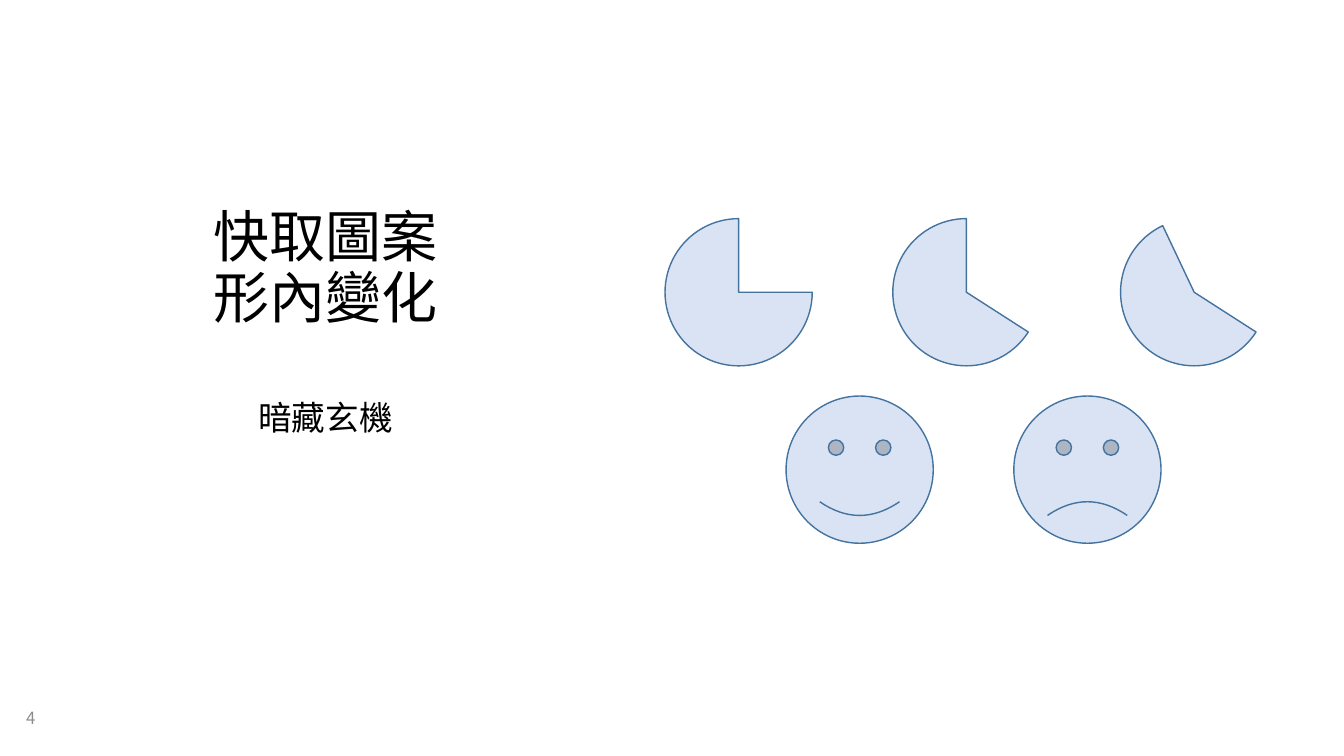
from lxml import etree
from pptx import Presentation
from pptx.dml.color import RGBColor
from pptx.enum.shapes import MSO_SHAPE as Shape
from pptx.enum.text import MSO_ANCHOR as Anchor, PP_ALIGN as Align
from pptx.oxml.ns import qn
from pptx.util import Cm, Pt


def color(code):
    return RGBColor.from_string(code)


class Page:
    font = "Noto Sans CJK SC"
    fill = "DAE3F3"
    edge = "43739E"
    side = 3.71

    def __init__(self, slide):
        self.shapes = slide.shapes

    def text(self, words, left, top, width, height, size=24, ink="000000",
             align=Align.CENTER, anchor=Anchor.TOP, pitch=0.9):
        box = self.shapes.add_textbox(Cm(left), Cm(top), Cm(width), Cm(height))
        frame = box.text_frame
        frame.word_wrap = True
        frame.vertical_anchor = anchor
        para = frame.paragraphs[0]
        para.text = words
        para.alignment = align
        para.line_spacing = pitch
        for run in para.runs:
            run.font.size = Pt(size)
            run.font.color.rgb = color(ink)
            run.font.name = self.font
            # East Asian letters take their own typeface
            face = etree.SubElement(run.font._element, qn("a:ea"))
            face.set("typeface", self.font)

    def figure(self, kind, left, top, *bends):
        side = Cm(self.side)
        form = self.shapes.add_shape(kind, Cm(left), Cm(top), side, side)
        form.shadow.inherit = False
        form.fill.solid()
        form.fill.fore_color.rgb = color(self.fill)
        form.line.color.rgb = color(self.edge)
        form.line.width = Pt(1)
        for i, bend in enumerate(bends):
            form.adjustments[i] = bend


def main():
    deck = Presentation()
    deck.slide_width, deck.slide_height = Cm(33.87), Cm(19.05)
    page = Page(deck.slides.add_slide(deck.slide_layouts[6]))

    # Title, subtitle and page number
    page.text("快取圖案\v形內變化", 1.45, 3.12, 13.51, 5.33, size=40,
              anchor=Anchor.BOTTOM)
    page.text("暗藏玄機", 1.45, 10, 13.51, 4.6)
    page.text("4", 0.41, 17.6, 1.7, 1, size=12, ink="8C8C8C",
              align=Align.LEFT, anchor=Anchor.MIDDLE, pitch=1)

    step = 5.74

    # Pies: start and end angles in degrees, 0.6 units to a degree
    for i, angles in enumerate([(0, 270), (32.73, 270), (32.73, 244.71)]):
        page.figure(Shape.PIE, 16.76 + i * step, 5.51,
                    *(angle * 0.6 for angle in angles))

    # Faces: a smile, then a frown
    for i, curve in enumerate([0.0465, -0.0465]):
        page.figure(Shape.SMILEY_FACE, 19.81 + i * step, 9.98, curve)

    deck.save("out.pptx")


if __name__ == "__main__":
    main()
